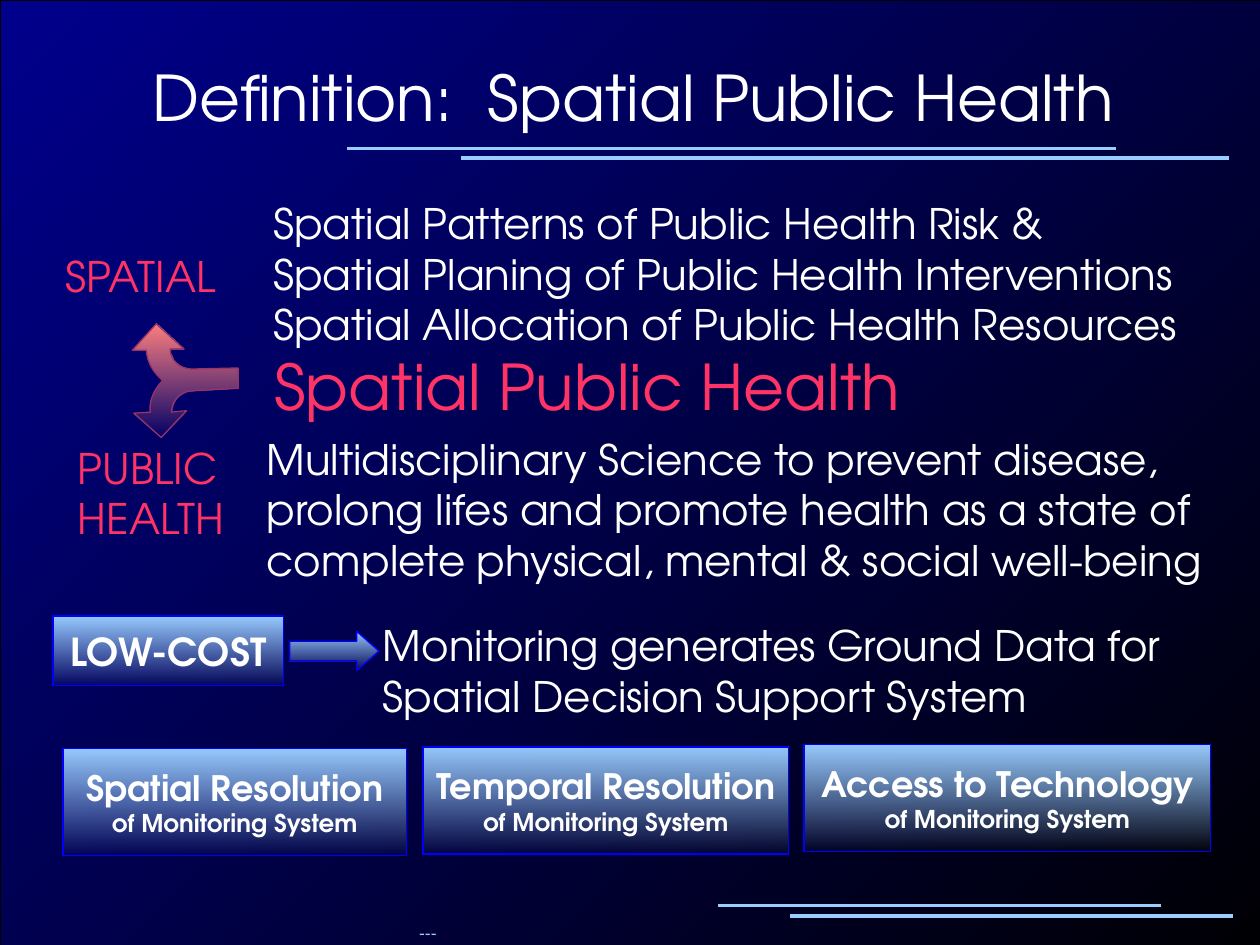
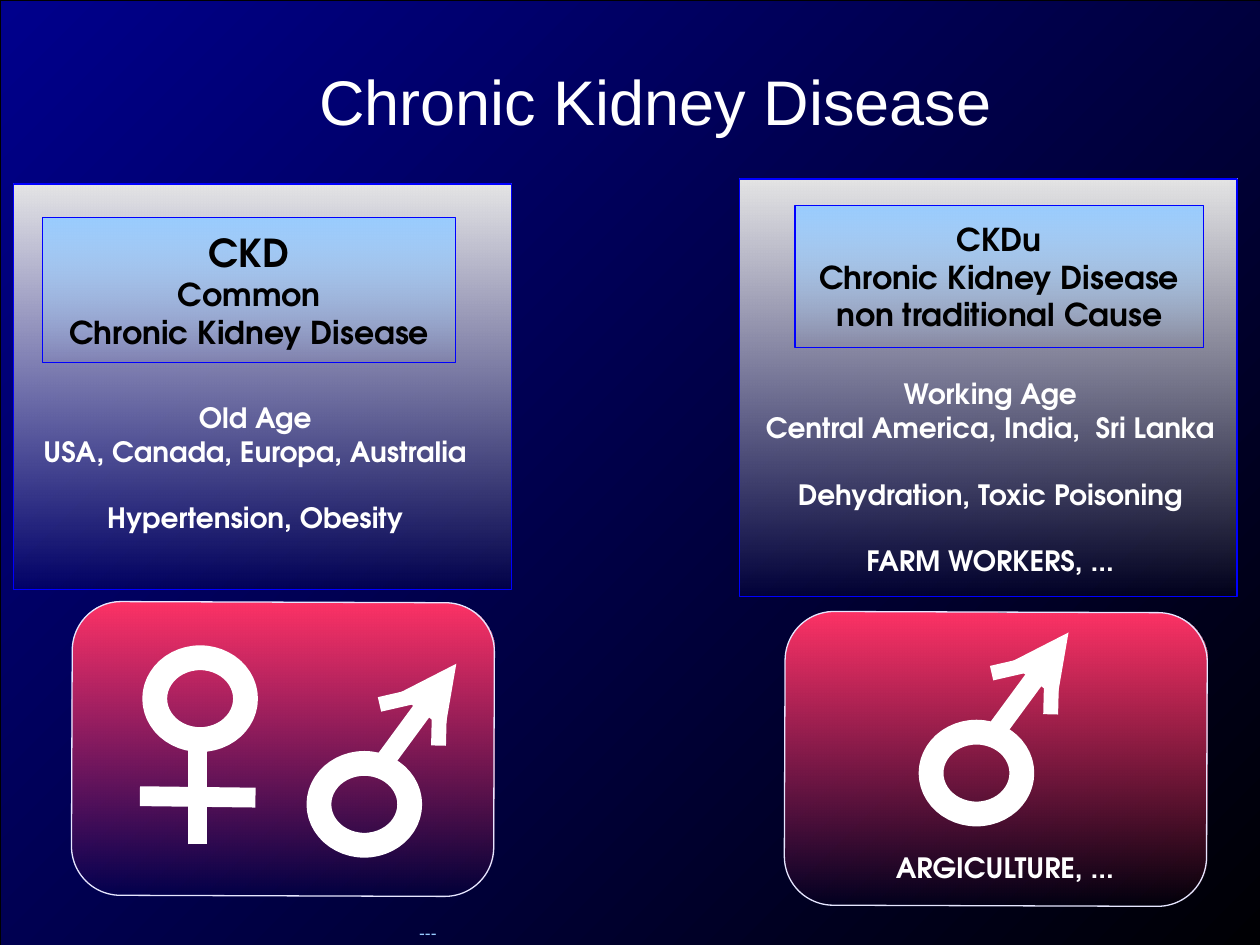
from lxml.etree import SubElement as Sub
from pptx import Presentation
from pptx.dml.color import RGBColor
from pptx.enum.shapes import MSO_CONNECTOR as Link, MSO_SHAPE as Kind
from pptx.enum.text import MSO_ANCHOR as Anchor, PP_ALIGN as Align
from pptx.oxml.ns import qn
from pptx.util import Cm, Pt

FONT = "TeX Gyre Adventor"
WHITE, BLACK, SKY, BLUE, ROSE = "FFFFFF", "000000", "99CCFF", "0000FF", "FF3366"
MIST, LILAC, CORAL, PLUM = "E6E6E6", "E6E6FF", "FF8080", "993366"
BODY = {"size": 24}
PINK = {"size": 24, "tint": ROSE}
FACT = {"size": 16, "bold": True, "align": Align.CENTER}
HEAD = {"size": 36, "align": Align.CENTER, "anchor": Anchor.MIDDLE, "pad": 0}
MID = {"bold": True, "align": Align.CENTER, "anchor": Anchor.MIDDLE, "wrap": False}


def color(code):
    """Turn a hex string into a colour."""
    return RGBColor.from_string(code)


def cms(*vals):
    """Turn numbers into centimetre lengths."""
    return [Cm(val) for val in vals]


def put(item, vals):
    """Set every attribute in a dict on an object."""
    for key, val in vals.items():
        setattr(item, key, val)


def blend(shape, top, end=None):
    """Fill downward into clear, or outward from the corner into end."""
    props = shape.fill._xPr
    shape.fill.background()
    old = props.find(qn("a:noFill"))
    grad = props.makeelement(qn("a:gradFill"), {"rotWithShape": "0"})
    props.replace(old, grad)
    stops = Sub(grad, qn("a:gsLst"))
    for pos, code in (("0", top), ("100000", end or top)):
        stop = Sub(stops, qn("a:gs"), pos=pos)
        tone = Sub(stop, qn("a:srgbClr"), val=code)
        if pos != "0" and not end:
            Sub(tone, qn("a:alpha"), val="0")
    if end:
        way = Sub(grad, qn("a:path"), path="circle")
        Sub(way, qn("a:fillToRect"), l="0", t="0", r="100000", b="100000")
    else:
        Sub(grad, qn("a:lin"), ang="5400000", scaled="0")


def edge(item, code, width=0):
    """Colour an outline and set its width."""
    item.line.color.rgb = color(code)
    item.line.width = Pt(width)


def write(shape, lines, size=24, tint=WHITE, font=FONT, bold=False, align=Align.LEFT,
          anchor=Anchor.TOP, pad=None, wrap=True, gap=0):
    """Write lines; a tuple overrides the size and the space above."""
    frame = shape.text_frame
    put(frame, {"word_wrap": wrap, "vertical_anchor": anchor})
    if pad is not None:
        sides = ("left", "top", "right", "bottom")
        put(frame, {f"margin_{side}": Cm(pad) for side in sides})
    for num, line in enumerate(lines):
        text, pts, above = line if isinstance(line, tuple) else (line, size, gap)
        para = frame.add_paragraph() if num else frame.paragraphs[0]
        put(para, {"alignment": align, "space_before": Pt(above)})
        run = para.add_run()
        run.text = text
        put(run.font, {"size": Pt(pts), "name": font, "bold": bold})
        run.font.color.rgb = color(tint)


def label(slide, box, lines, **form):
    """Add a text box."""
    write(slide.shapes.add_textbox(*cms(*box)), lines, **form)


def block(slide, box, top, rim, kind=Kind.RECTANGLE, end=None):
    """Add a preset shape with a gradient."""
    shape = slide.shapes.add_shape(kind, *cms(*box))
    shape.shadow.inherit = False
    blend(shape, top, end)
    edge(shape, rim)
    return shape


def stroke(slide, ends, code, width=0, tip=False):
    """Add a straight line, with an arrowhead if asked."""
    line = slide.shapes.add_connector(Link.STRAIGHT, *cms(*ends))
    edge(line, code, width)
    if tip:
        Sub(line.line._get_or_add_ln(), qn("a:tailEnd"), type="triangle")
    Sub(line._element.spPr, qn("a:effectLst"))


def rules(slide, x, y, wide, dx, dy):
    """Draw a staggered pair of thin lines."""
    for left, top in ((x, y), (x + dx, y + dy)):
        stroke(slide, (left, top, left + wide, top), SKY)


def bend(start, one, two, end):
    """Sample a cubic curve after its start."""
    spots = []
    for step in range(1, 9):
        t = step / 8
        parts = ((1 - t) ** 3, 3 * t * (1 - t) ** 2, 3 * t * t * (1 - t), t ** 3)
        spots.append(tuple(sum(part * dot[axis] for part, dot in
                               zip(parts, (start, one, two, end))) for axis in (0, 1)))
    return spots


def fork(slide, x, y):
    """Draw the two-headed branching arrow."""
    dots = [(1.19, 0.91)]
    for leg in (
        [(0.97, 0.91), (0.76, 0.74), (0.76, 0.51)],
        [(1.04, 0.51)], [(0.48, 0)], [(0, 0.53)], [(0.28, 0.53)],
        [(0.3, 0.79), (0.43, 0.99), (0.61, 1.14)],
        [(0.46, 1.3), (0.33, 1.52), (0.36, 1.78)],
        [(0.03, 1.8)], [(0.58, 2.29)], [(1.09, 1.75)], [(0.79, 1.78)],
        [(0.79, 1.55), (0.97, 1.35), (1.22, 1.35)],
        [(2.13, 1.3)], [(2.13, 0.89)],
    ):
        dots += bend(dots[-1], *leg) if len(leg) == 3 else leg
    first, *rest = [cms(x + dx, y + dy) for dx, dy in dots]
    path = slide.shapes.build_freeform(*first)
    path.add_line_segments(rest, close=True)
    shape = path.convert_to_shape()
    shape.shadow.inherit = False
    blend(shape, CORAL)
    edge(shape, PLUM)


def base(deck):
    """Start a slide with the backdrop and footer."""
    slide = deck.slides.add_slide(deck.slide_layouts[6])
    block(slide, (0, 0, 26.42, 19.23), "00008C", BLACK, end=BLACK)
    label(slide, (0, 18.47, 17.25, 0.58), ["---"], size=10, tint=SKY,
          font="Arial", align=Align.CENTER)
    return slide


def terms(slide, x, y):
    """Place the two root terms, their meanings and the joint term."""
    label(slide, (x + 4.19, y, 20.14, 3.71), [
        "Spatial Patterns of Public Health Risk &",
        "Spatial Planing of Public Health Interventions",
        "Spatial Allocation of Public Health Resources"], **BODY)
    label(slide, (x + 4.06, y + 4.75, 19.35, 3.71), [
        "Multidisciplinary Science to prevent disease, "
        "prolong lifes and promote health as a state of",
        "complete physical, mental & social well-being"], **BODY)
    label(slide, (x + 0.25, y + 4.93, 4.14, 2.57), ["PUBLIC", "HEALTH"], **PINK)
    label(slide, (x, y + 1.07, 4.65, 1.88), ["SPATIAL"], **PINK)
    label(slide, (x + 4.21, y + 3.02, 14.1, 1.98), ["Spatial Public Health"],
          size=36, tint=ROSE)
    fork(slide, x + 1.6, y + 2.67)


def cost(slide, x, y):
    """Place the low-cost box, its arrow and the outcome."""
    write(block(slide, (x, y, 4.65, 1.4), SKY, BLUE), ["LOW-COST"], size=22, **MID)
    arrow = block(slide, (x + 4.77, y + 0.31, 1.8, 0.79), SKY, BLUE, Kind.RIGHT_ARROW)
    arrow.adjustments[1] = 0.565
    label(slide, (x + 6.4, y - 0.05, 17.48, 2.57), [
        "Monitoring generates Ground Data for", "Spatial Decision Support System"], **BODY)


def needs(slide, x, y):
    """Place the three boxes on monitoring needs."""
    for text, dx, dy, wide in (("Spatial Resolution", 0, 0.08, 6.93),
                               ("Temporal Resolution", 7.26, 0.05, 7.37),
                               ("Access to Technology", 14.94, 0, 8.2)):
        box = block(slide, (x + dx, y + dy, wide, 2.16), SKY, BLUE)
        write(box, [text, ("of Monitoring System", 14, 0)], size=20, **MID)


def panel(slide, box, head, title, facts, lines):
    """Place a grey panel with a heading box and facts inside it."""
    x, y = box[:2]
    block(slide, box, MIST, BLUE)
    for part, text in ((head, title), (facts, lines)):
        spot = (x + part[0], y + part[1], *part[2:])
        if part is head:
            write(block(slide, spot, SKY, BLUE), text, size=18, tint=BLACK, **MID)
        else:
            label(slide, spot, text, **FACT)


def card(slide, x, y):
    """Place a rounded card for the signs."""
    shape = block(slide, (x, y, 8.51, 5.92), ROSE, LILAC, Kind.ROUNDED_RECTANGLE)
    shape.rotation = 0.2


def sign(slide, x, y, strokes):
    """Draw a ring and the strokes that hang on it."""
    ring = slide.shapes.add_shape(Kind.OVAL, *cms(x, y, 1.83, 1.65))
    ring.shadow.inherit = False
    ring.fill.background()
    edge(ring, WHITE, 14.17)
    for (ax, ay, bx, by), width, tip in strokes:
        stroke(slide, (x + ax, y + ay, x + bx, y + by), WHITE, width, tip)


MALE = (((1.27, 0.03, 2.77, -2.01), 11.34, True),
        ((2.41, -0.36, 2.44, -1.57), 8.5, False),
        ((1.22, -1.19, 2.44, -1.47), 8.5, False))
FEMALE = (((0.86, 3.76, 0.86, 1.73), 11.34, False),
          ((-0.3, 2.79, 2.03, 2.82), 11.34, False))


def define(deck):
    """Build the definition slide."""
    slide = base(deck)
    rules(slide, 7, 2.99, 15.49, 2.29, 0.2)
    label(slide, (1.19, 1.07, 23.14, 1.73), ["Definition:  Spatial Public Health"], **HEAD)
    rules(slide, 14.48, 18.25, 8.92, 1.45, 0.22)
    terms(slide, 1.07, 3.86)
    cost(slide, 1.07, 12.42)
    needs(slide, 1.27, 15.01)


def kidney(deck):
    """Build the kidney disease slide."""
    slide = base(deck)
    label(slide, (1.78, 1.24, 22.86, 1.55), ["Chronic Kidney Disease"], font="Arial", **HEAD)
    panel(slide, (0.28, 3.71, 10.03, 8.18),
          (0.58, 0.68, 8.33, 2.92),
          [("CKD", 22, 0), "Common", "Chronic Kidney Disease"],
          (-0.28, 4.24, 10.29, 3.33),
          ["Old Age", "USA, Canada, Europa, Australia", ("Hypertension, Obesity", 16, 19)])
    panel(slide, (14.91, 3.61, 10.03, 8.41),
          (1.12, 0.53, 8.23, 2.87),
          ["CKDu", "Chronic Kidney Disease", "non traditional Cause"],
          (0.18, 3.86, 9.75, 4.5),
          ["Working Age", "Central America, India,  Sri Lanka",
           ("Dehydration, Toxic Poisoning", 16, 19), ("FARM WORKERS, ...", 16, 19)])
    card(slide, 1.45, 12.14)
    sign(slide, 3.12, 13.26, FEMALE)
    sign(slide, 6.43, 15.39, MALE)
    card(slide, 15.82, 12.34)
    sign(slide, 18.77, 14.76, MALE)
    label(slide, (17.25, 17.02, 6.02, 0.97), ["ARGICULTURE, ..."], **FACT)


def main():
    """Build and save the deck."""
    deck = Presentation()
    put(deck, {"slide_width": Cm(25.4), "slide_height": Cm(19.05)})
    define(deck)
    kidney(deck)
    deck.save("out.pptx")


if __name__ == "__main__":
    main()
